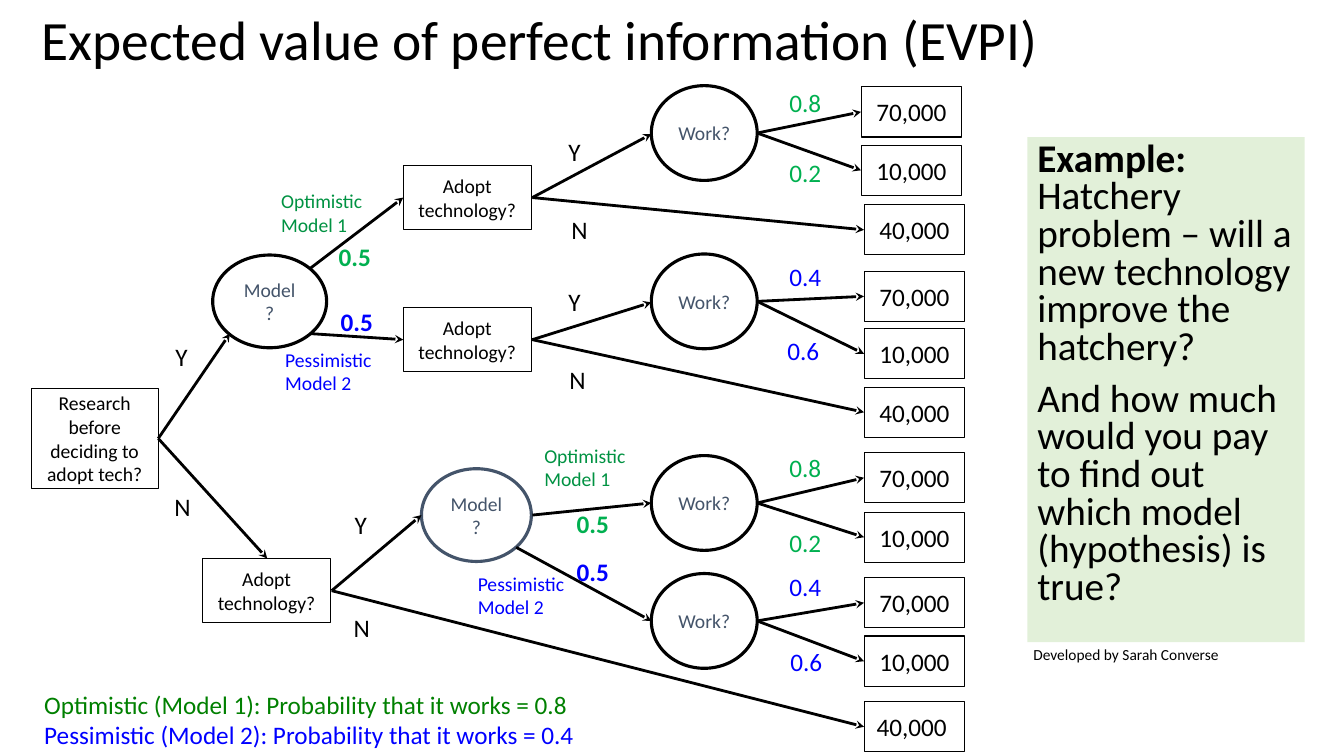
"""Build the slide with the decision tree for the expected value of perfect information."""
from lxml.etree import SubElement
from pptx import Presentation
from pptx.dml.color import RGBColor
from pptx.enum.shapes import MSO_CONNECTOR, MSO_SHAPE
from pptx.enum.text import MSO_ANCHOR, PP_ALIGN
from pptx.oxml.ns import qn
from pptx.util import Pt

BLACK = RGBColor(0x00, 0x00, 0x00)
SLATE = RGBColor(0x44, 0x54, 0x6A)
GREEN = RGBColor(0x00, 0xB0, 0x50)
DARK_GREEN = RGBColor(0x00, 0x92, 0x42)
LEGEND_GREEN = RGBColor(0x00, 0x80, 0x00)
BLUE = RGBColor(0x00, 0x00, 0xFF)
PALE_GREEN = RGBColor(0xE2, 0xF0, 0xD9)
EMU_PER_PX = 9144


def px(n):
    return n * EMU_PER_PX


def write(tf, text, size=18, color=BLACK, bold=False, align=PP_ALIGN.LEFT,
          line=None, before=0, new=True):
    for part in text.split("\n"):
        p = tf.add_paragraph() if new and tf.text else tf.paragraphs[-1]
        if new:
            p.alignment = align
            p.space_before = Pt(before)
            if line:
                p.line_spacing = line
        r = p.add_run()
        r.text = part
        r.font.name = "Calibri"
        r.font.size = Pt(size)
        r.font.bold = bold
        r.font.color.rgb = color


class TreeSlide:
    def __init__(self, prs):
        self.s = prs.slides.add_slide(prs.slide_layouts[5])

    def title(self, text, x, y, w, h):
        sp = self.s.shapes.title
        sp.left, sp.top, sp.width, sp.height = map(px, (x, y, w, h))
        sp.text_frame.vertical_anchor = MSO_ANCHOR.MIDDLE
        write(sp.text_frame, text, size=39.6, line=0.9)

    def label(self, text, x, y, w=55, h=40, **fmt):
        tf = self.s.shapes.add_textbox(*map(px, (x, y, w, h))).text_frame
        tf.word_wrap = True
        write(tf, text, **fmt)
        return tf

    def shape(self, kind, x, y, w, h, fill=None, line=None, width=0.75):
        sp = self.s.shapes.add_shape(kind, *map(px, (x, y, w, h)))
        sp.shadow.inherit = False
        if fill is None:
            sp.fill.background()
        else:
            sp.fill.solid()
            sp.fill.fore_color.rgb = fill
        if line is None:
            sp.line.fill.background()
        else:
            sp.line.color.rgb = line
            sp.line.width = Pt(width)
        sp.text_frame.word_wrap = True
        return sp.text_frame

    def box(self, text, x, y, w=127, h=64, size=14):
        tf = self.shape(MSO_SHAPE.RECTANGLE, x, y, w, h, line=BLACK)
        tf.vertical_anchor = MSO_ANCHOR.MIDDLE
        write(tf, text, size=size, align=PP_ALIGN.CENTER)

    def payoff(self, text, x, y):
        self.box(text, x, y, w=100, h=50, size=18)

    def chance(self, text, x, y, w=105, h=94, line=BLACK):
        tf = self.shape(MSO_SHAPE.OVAL, x, y, w, h, line=line, width=2.25)
        tf.vertical_anchor = MSO_ANCHOR.MIDDLE
        write(tf, text, size=14, color=SLATE, align=PP_ALIGN.CENTER)

    def arrow(self, x1, y1, x2, y2):
        c = self.s.shapes.add_connector(MSO_CONNECTOR.STRAIGHT, *map(px, (x1, y1, x2, y2)))
        c.line.color.rgb = BLACK
        c.line.width = Pt(2)
        SubElement(c.line._get_or_add_ln(), qn("a:tailEnd"), type="stealth")
        SubElement(c._element.spPr, qn("a:effectLst"))

    def work(self, y, payoff_x, payoff_tops, odds, color):
        self.chance("Work?", 646, y)
        for amount, top in zip(("70,000", "10,000"), payoff_tops):
            self.payoff(amount, payoff_x, top)
            self.arrow(751, y + 47, payoff_x, top + 25)
        for odd, x, top in odds:
            self.label(odd, x, top, color=color)

    def choice(self, x, y, work_end, payoff, payoff_top, yes, no):
        self.box("Adopt technology?", x, y)
        self.payoff(payoff, 857, payoff_top)
        self.arrow(x + 128, y + 32, *work_end)
        self.arrow(x + 128, y + 32, 857, payoff_top + 25)
        self.label("Y", *yes, w=37)
        self.label("N", *no, w=37)


def main():
    prs = Presentation()
    prs.slide_width, prs.slide_height = px(1333), px(750)
    s = TreeSlide(prs)
    s.title("Expected value of perfect information (EVPI)", 31, 19, 1150, 47)

    s.box("Research before deciding to adopt tech?", 31, 385, w=126, h=100)
    s.arrow(157, 435, 228, 331)
    s.arrow(157, 435, 265, 554)
    s.label("Y", 164, 334, w=37)
    s.label("N", 163, 483, w=38)

    s.chance("Model?", 211, 253, w=113, h=92)
    s.arrow(308, 266, 400, 196)
    s.arrow(308, 331, 400, 337)
    s.chance("Model\n?", 418, 465, w=109, h=92, line=SLATE)
    s.arrow(528, 511, 646, 499)
    s.arrow(512, 543, 646, 616)

    s.choice(400, 164, (646, 133), "40,000", 203, (554, 130), (557, 208))
    s.choice(400, 305, (646, 300), "40,000", 384, (554, 279), (555, 357))
    s.choice(201, 554, (418, 511), "40,000 ", 696, (342, 500), (341, 603))

    s.work(85, 854, (86, 144), (("0.8", 773, 82), ("0.2", 773, 151)), GREEN)
    s.work(252, 857, (269, 326), (("0.4", 773, 254), ("0.6", 771, 328)), BLUE)
    s.work(452, 857, (449, 508), (("0.8", 773, 444), ("0.2", 773, 518)), GREEN)
    s.work(569, 857, (573, 631), (("0.4", 773, 562), ("0.6", 774, 636)), BLUE)

    for x, y in ((269, 183), (530, 435)):
        s.label("Optimistic\nModel 1", x, y, w=106, h=57, size=14, color=DARK_GREEN)
    for x, y in ((273, 340), (464, 562)):
        s.label("Pessimistic\nModel 2", x, y, w=118, h=57, size=14, color=BLUE)
    for x, y, color in ((326, 234, GREEN), (328, 299, BLUE), (562, 499, GREEN), (562, 547, BLUE)):
        s.label("0.5", x, y, color=color, bold=True)

    legend = s.label("Optimistic (Model 1): Probability that it works = 0.8",
                     34, 679, w=605, h=71, color=LEGEND_GREEN)
    write(legend, "Pessimistic (Model 2): Probability that it works = 0.4", color=BLUE)

    panel = s.shape(MSO_SHAPE.RECTANGLE, 1019, 136, 275, 501, fill=PALE_GREEN)
    panel.vertical_anchor = MSO_ANCHOR.TOP
    write(panel, "Example: ", size=28, bold=True, line=0.8)
    write(panel, "Hatchery problem – will a new technology improve the hatchery?", size=28, new=False)
    write(panel, "And how much would you pay to find out which model (hypothesis) is true?",
          size=28, line=0.8, before=10)
    s.label("Developed by Sarah Converse", 1015, 635, w=221, h=29, size=11)
    prs.save("out.pptx")


if __name__ == "__main__":
    main()
